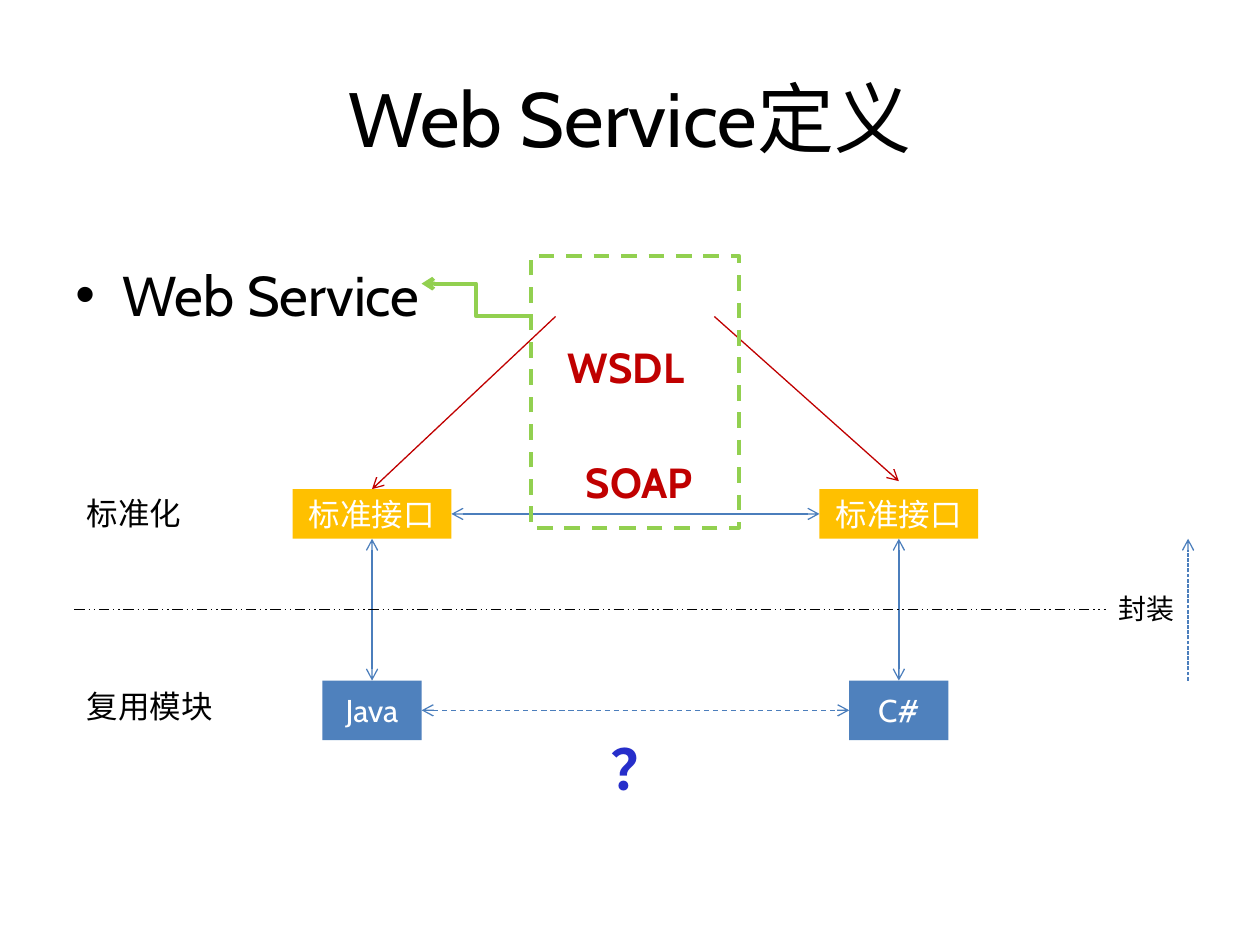
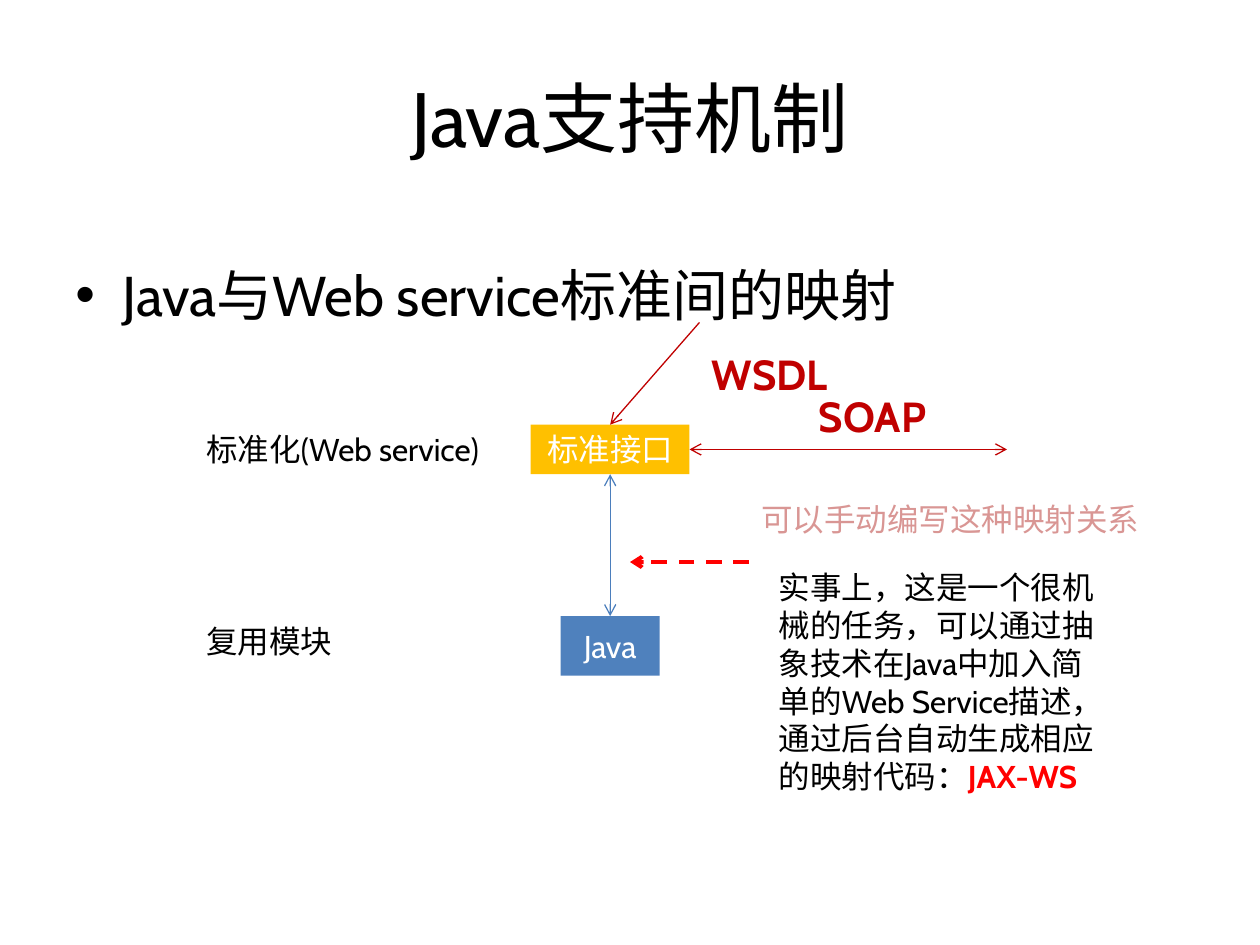
from lxml import etree
from pptx import Presentation
from pptx.dml.color import RGBColor
from pptx.enum.dml import MSO_LINE
from pptx.enum.shapes import MSO_CONNECTOR, MSO_SHAPE
from pptx.enum.text import MSO_ANCHOR, PP_ALIGN
from pptx.oxml.ns import qn
from pptx.util import Cm, Pt

RECT = MSO_SHAPE.RECTANGLE
STRAIGHT, ELBOW = MSO_CONNECTOR.STRAIGHT, MSO_CONNECTOR.ELBOW
DASH, SYS_DASH = MSO_LINE.DASH, MSO_LINE.SQUARE_DOT
DASH_DOT_DOT = MSO_LINE.DASH_DOT_DOT
CENTER, MIDDLE, TOP = PP_ALIGN.CENTER, MSO_ANCHOR.MIDDLE, MSO_ANCHOR.TOP

FONT = "Cabin"
BLACK, WHITE = "000000", "FFFFFF"
BLUE, LINE_BLUE, MARK_BLUE = "4F81BD", "4B7EBC", "262ECA"
AMBER, GREEN = "FFC000", "92D050"
DARK_RED, RED, PINK = "C00000", "FF0000", "D99694"

# Sizes of one tower: interface box above, module box below (cm)
PORT_W, PORT_H = 3.2, 1.0
MODULE_W, MODULE_H = 2.0, 1.2
MODULE_DROP = 3.86

# Connector ends
BOTH = ("headEnd", "tailEnd")


def rgb(hex_color):
    return RGBColor.from_string(hex_color)


def write(shape, text, size=18, color=BLACK, bold=False, align=None,
          anchor=TOP, wrap=True):
    """Write one paragraph; text is a string or a list of (text, color, bold)."""
    tf = shape.text_frame
    tf.word_wrap = wrap
    tf.vertical_anchor = anchor
    p = tf.paragraphs[0]
    p.alignment = align
    runs = [(text, color, bold)] if isinstance(text, str) else text
    for run_text, run_color, run_bold in runs:
        r = p.add_run()
        r.text = run_text
        r.font.name = FONT
        r.font.size = Pt(size)
        r.font.bold = run_bold
        r.font.color.rgb = rgb(run_color)
    return p


def textbox(s, x, y, w, h, text, **fmt):
    tb = s.shapes.add_textbox(Cm(x), Cm(y), Cm(w), Cm(h))
    return write(tb, text, **fmt)


def indent(p, left, first=0):
    pPr = p._p.get_or_add_pPr()
    pPr.set("marL", str(Cm(left)))
    pPr.set("indent", str(Cm(first)))
    return pPr


def box(s, x, y, w, h, fill=None, text=None):
    sp = s.shapes.add_shape(RECT, Cm(x), Cm(y), Cm(w), Cm(h))
    sp.shadow.inherit = False
    if fill:
        sp.fill.solid()
        sp.fill.fore_color.rgb = rgb(fill)
        sp.line.fill.background()
    else:
        sp.fill.background()
    if text:
        write(sp, text, color=WHITE, align=CENTER, anchor=MIDDLE)
    return sp


def style_line(line, color, width, dash):
    line.color.rgb = rgb(color)
    line.width = Pt(width)
    if dash:
        line.dash_style = dash


def connect(s, start, end, color=LINE_BLUE, width=0.75, dash=None,
            ends=("tailEnd",), kind=STRAIGHT):
    c = s.shapes.add_connector(kind, *(Cm(v) for v in (*start, *end)))
    style_line(c.line, color, width, dash)
    ln = c.line._get_or_add_ln()
    for tag in ends:
        etree.SubElement(ln, qn("a:" + tag), type="arrow")
    etree.SubElement(c._element.spPr, qn("a:effectLst"))


def heading(s, title, bullet):
    """Slide title and the bulleted line under it."""
    textbox(s, 1.27, 0.76, 22.86, 3.18, title, size=44, align=CENTER,
            anchor=MIDDLE)
    p = textbox(s, 1.27, 4.45, 22.86, 12.57, bullet, size=32)
    p.line_spacing = 1.5
    p.space_before = Pt(6.4)
    pPr = indent(p, 0.95, -0.95)
    etree.SubElement(pPr, qn("a:buFont"), typeface="Arial")
    etree.SubElement(pPr, qn("a:buChar"), char="•")


def tower(s, cx, top, module):
    """Standard interface above a module, joined by a two-way arrow."""
    box(s, cx - MODULE_W / 2, top + MODULE_DROP, MODULE_W, MODULE_H, BLUE, module)
    box(s, cx - PORT_W / 2, top, PORT_W, PORT_H, AMBER, "标准接口")
    connect(s, (cx, top + PORT_H), (cx, top + MODULE_DROP), ends=BOTH)


def row_labels(s, x, top, w, standard):
    textbox(s, x, top - 0.02, w, 1.02, standard)
    textbox(s, x, top + MODULE_DROP, 3.2, 1.02, "复用模块")


def protocol(s, x, y, name, left=0):
    p = textbox(s, x, y, 3.2, 1.28, name, size=24, color=DARK_RED, bold=True)
    indent(p, left)


def definition_slide(s):
    heading(s, "Web Service定义", "Web Service")
    left, right, top = 7.5, 18.12, 9.86
    port_y = top + PORT_H / 2
    module_y = top + MODULE_DROP + MODULE_H / 2
    divider_y = top + (PORT_H + MODULE_DROP) / 2

    # Two towers and the links between them
    tower(s, left, top, "Java")
    tower(s, right, top, "C#")
    connect(s, (left + PORT_W / 2, port_y), (right - PORT_W / 2, port_y), ends=BOTH)
    connect(s, (left + MODULE_W / 2, module_y), (right - MODULE_W / 2, module_y),
            dash=DASH, ends=BOTH)
    textbox(s, 12.06, 14.68, 1.65, 1.63, "？", size=32, color=MARK_BLUE,
            bold=True, wrap=False)

    # Rows, divider and encapsulation arrow
    row_labels(s, 1.5, top, 3.2, "标准化")
    connect(s, (1.5, divider_y), (22.3, divider_y), BLACK, dash=DASH_DOT_DOT, ends=())
    textbox(s, 22.3, 11.81, 1.65, 0.94, "封装", size=16, wrap=False)
    connect(s, (23.95, top + MODULE_DROP), (23.95, top + PORT_H), dash=SYS_DASH)

    # Protocols inside the dashed frame
    protocol(s, 11.2, 6.76, "WSDL")
    protocol(s, 11.2, 9.07, "SOAP", 0.36)
    connect(s, (11.2, 6.38), (left, top), DARK_RED)
    connect(s, (14.4, 6.38), (right, 9.7), DARK_RED)
    frame = box(s, 10.7, 5.16, 4.2, 5.48)
    style_line(frame.line, GREEN, 2.25, DASH)
    connect(s, (10.7, 6.38), (8.5, 5.72), GREEN, 2.25, kind=ELBOW)


def java_slide(s):
    heading(s, "Java支持机制", "Java与Web service标准间的映射")
    cx, top = 12.3, 8.56
    port_y = top + PORT_H / 2

    # Tower with its row labels
    tower(s, cx, top, "Java")
    row_labels(s, 3.91, top, 6.0, "标准化(Web service)")

    # Protocols
    protocol(s, 14.1, 6.9, "WSDL")
    protocol(s, 15.9, 7.75, "SOAP", 0.36)
    connect(s, (14.1, 6.5), (cx, top), DARK_RED)
    connect(s, (cx + PORT_W / 2, port_y), (20.3, port_y), DARK_RED, ends=BOTH)

    # Notes on the mapping
    textbox(s, 15.1, 9.96, 8.4, 1.02, "可以手动编写这种映射关系", color=PINK)
    connect(s, (15.1, 11.33), (12.7, 11.33), RED, 2.25, DASH)
    textbox(s, 15.45, 11.33, 7.2, 4.88, [
        ("实事上，这是一个很机械的任务，可以通过抽象技术在Java中加入简单的"
         "Web Service描述，通过后台自动生成相应的映射代码：", BLACK, False),
        ("JAX-WS", RED, True)])


def main():
    prs = Presentation()
    prs.slide_width, prs.slide_height = Cm(25.4), Cm(19.05)
    for build in (definition_slide, java_slide):
        build(prs.slides.add_slide(prs.slide_layouts[6]))
    prs.save("out.pptx")


if __name__ == "__main__":
    main()
